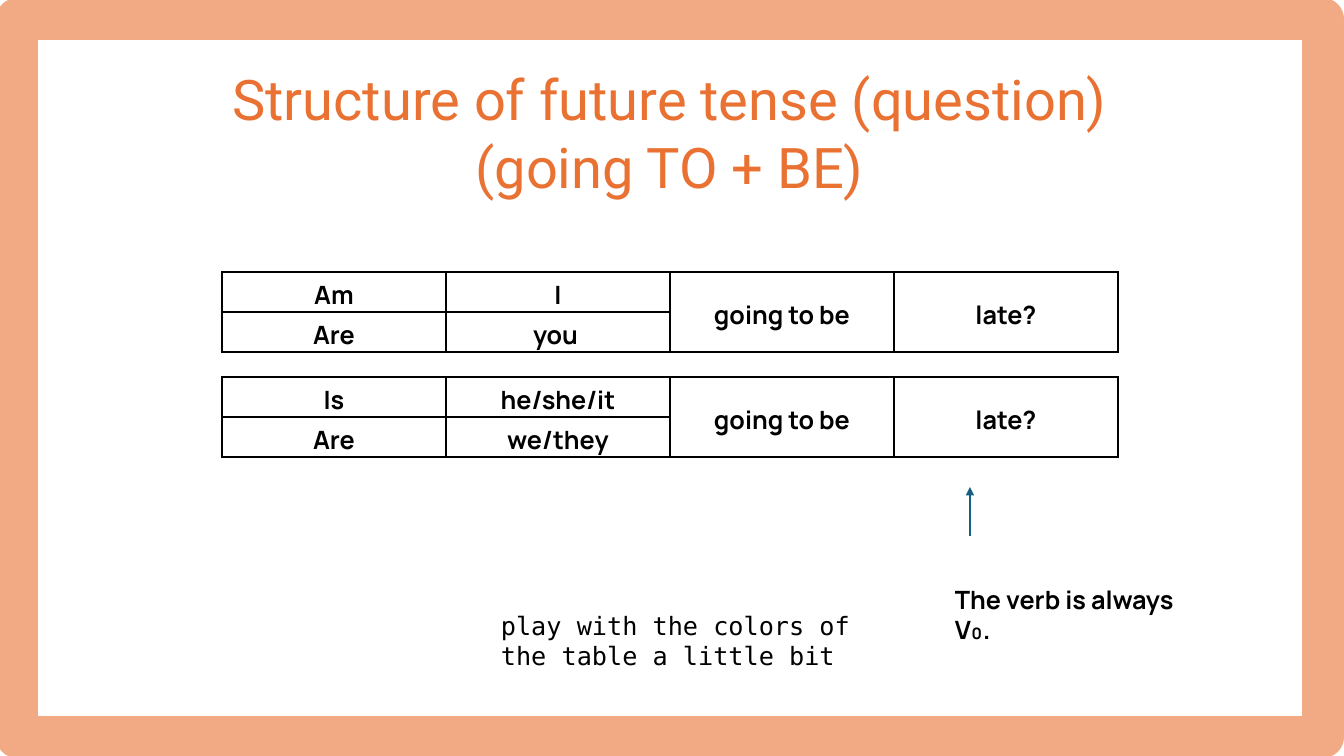
from lxml import etree
from pptx import Presentation
from pptx import util as u
from pptx.dml.color import RGBColor
from pptx.enum import shapes, text
from pptx.oxml.ns import qn

PX = 914400 / 100.8
ROW_HEIGHT = 40
BLACK, WHITE, ORANGE, PEACH, TEAL = "000000", "FFFFFF", "E97132", "F2AA84", "156082"


def px(length):
    """Turn px into EMU."""
    return u.Emu(round(length * PX))


def box(*lengths):
    """Turn a row of px lengths into EMU."""
    return [px(length) for length in lengths]


def color(value):
    """Turn a hex string into a colour."""
    return RGBColor.from_string(value)


def write(paragraph, lines, size, font, ink=BLACK, bold=False):
    """Add one run per line, with line breaks between them."""
    for index, line in enumerate(lines.split("\n")):
        if index:
            paragraph.add_line_break()
        run = paragraph.add_run()
        run.text = line
        run.font.size = u.Pt(size)
        run.font.name = font
        run.font.bold = bold
        run.font.color.rgb = color(ink)


def add_frame(slide, left, top, width, height):
    """Draw the thick frame around the slide."""
    frame = slide.shapes.add_shape(shapes.MSO_SHAPE.RECTANGLE, *box(left, top, width, height))
    frame.shadow.inherit = False
    frame.fill.background()
    frame.line.color.rgb = color(PEACH)
    frame.line.width = u.Pt(30)


def add_caption(slide, left, top, width, height, words, size, font,
                align=text.PP_ALIGN.LEFT, wrap=True, **style):
    """Place a text box that grows with its words."""
    frame = slide.shapes.add_textbox(*box(left, top, width, height)).text_frame
    frame.word_wrap = wrap
    frame.auto_size = text.MSO_AUTO_SIZE.SHAPE_TO_FIT_TEXT
    frame.paragraphs[0].alignment = align
    write(frame.paragraphs[0], words, size, font, **style)


def add_borders(cell):
    """Rule all four sides of a cell."""
    properties = cell._tc.get_or_add_tcPr()
    for index, side in enumerate(("a:lnL", "a:lnR", "a:lnT", "a:lnB")):
        line = etree.Element(qn(side), w=str(u.Pt(1)))
        fill = etree.SubElement(line, qn("a:solidFill"))
        etree.SubElement(fill, qn("a:srgbClr"), val=BLACK)
        properties.insert(index, line)


def add_question_table(slide, left, top, width, openings):
    """Build a question table whose last two columns span all rows."""
    height = ROW_HEIGHT * len(openings)
    table = slide.shapes.add_table(len(openings), 4, *box(left, top, width, height)).table
    table.first_row = table.horz_banding = False
    for row in table.rows:
        row.height = px(ROW_HEIGHT)
    for column in (2, 3):
        table.cell(0, column).merge(table.cell(len(openings) - 1, column))
    for row, opening in enumerate(openings):
        endings = ("going to be", "late?") if row == 0 else ("", "")
        for column, words in enumerate(opening + endings):
            cell = table.cell(row, column)
            cell.fill.solid()
            cell.fill.fore_color.rgb = color(WHITE)
            add_borders(cell)
            cell.vertical_anchor = text.MSO_ANCHOR.MIDDLE
            cell.margin_top, cell.margin_bottom = px(5), 0
            if words:
                cell.text_frame.paragraphs[0].alignment = text.PP_ALIGN.CENTER
                write(cell.text_frame.paragraphs[0], words, 18, "Manrope", bold=True)


def add_verb_note(slide, left, top, width, height):
    """Place the verb note with an arrow rising above it."""
    add_caption(slide, left, top + 92, width, height - 92, "The verb is always\nV₀.",
                18, "Manrope", wrap=False, bold=True)
    arrow = slide.shapes.add_connector(
        shapes.MSO_CONNECTOR.STRAIGHT, *box(left + 25, top + 49, left + 25, top))
    arrow.line.color.rgb = color(TEAL)
    arrow.line.width = u.Pt(1.5)
    etree.SubElement(arrow.line._get_or_add_ln(), qn("a:tailEnd"), type="triangle")
    etree.SubElement(arrow._element.spPr, qn("a:effectLst"))


def main():
    """Build the slide on the future tense question."""
    deck = Presentation()
    deck.slide_width, deck.slide_height = box(1344, 756)
    slide = deck.slides.add_slide(deck.slide_layouts[6])
    add_frame(slide, 17, 19, 1306, 718)
    add_caption(slide, 172, 60, 995, 146, "Structure of future tense (question) (going TO + BE)",
                40, "Roboto", align=text.PP_ALIGN.CENTER, ink=ORANGE)
    add_caption(slide, 491, 605, 393, 72, "play with the colors of the table a little bit",
                18, "DejaVu Sans Mono")
    add_verb_note(slide, 945, 487, 260, 164)
    add_question_table(slide, 222, 272, 896, [("Am", "I"), ("Are", "you ")])
    add_question_table(slide, 222, 377, 896, [("Is", "he/she/it"), ("Are", "we/they")])
    deck.save("out.pptx")


if __name__ == "__main__":
    main()
